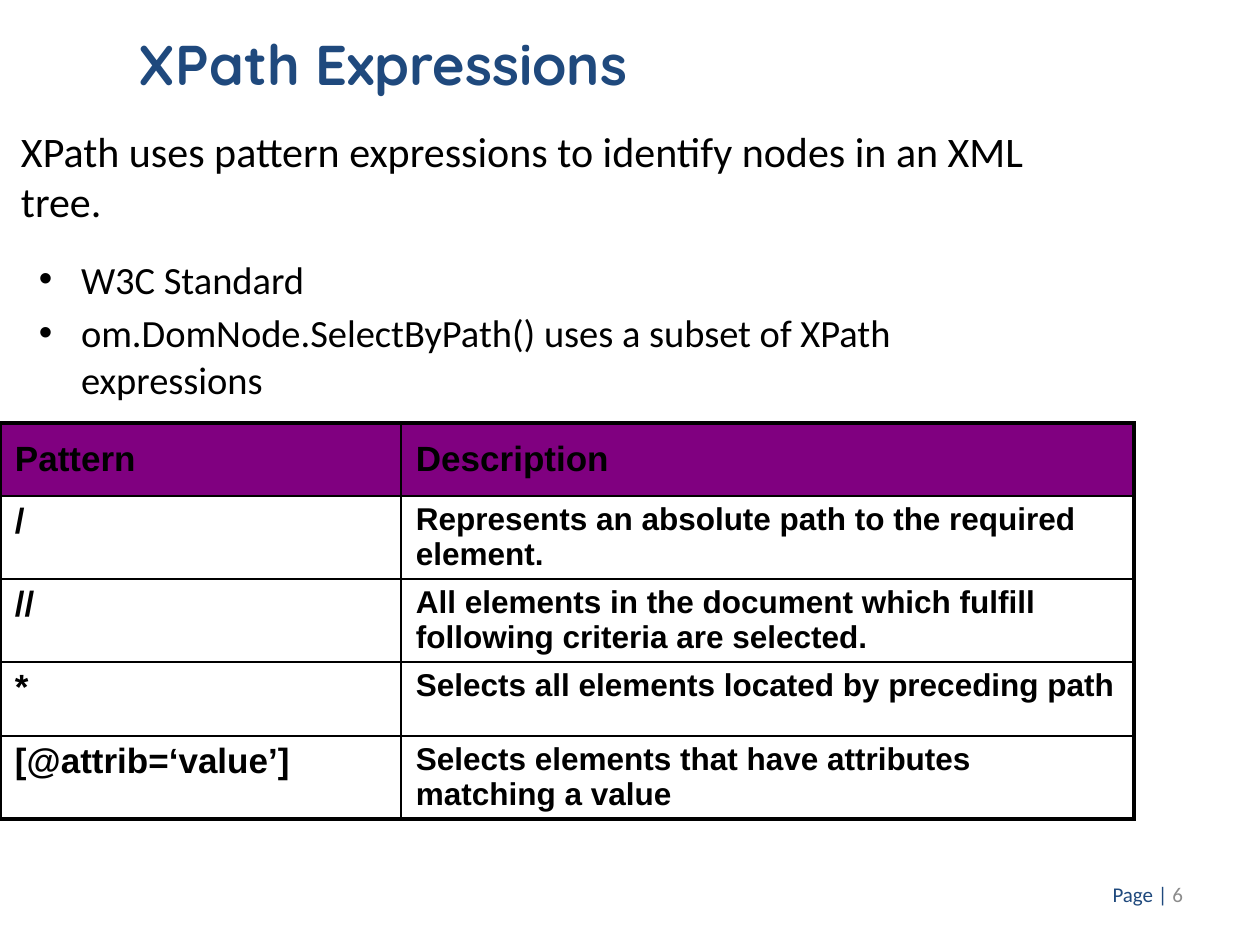
from lxml import etree
from pptx import Presentation
from pptx.dml.color import RGBColor
from pptx.enum.text import MSO_ANCHOR, MSO_AUTO_SIZE, PP_ALIGN
from pptx.oxml.ns import qn
from pptx.util import Emu, Pt

TOP, MIDDLE = MSO_ANCHOR.TOP, MSO_ANCHOR.MIDDLE
LEFT, RIGHT = PP_ALIGN.LEFT, PP_ALIGN.RIGHT
NO_FIT = MSO_AUTO_SIZE.NONE
NAVY, BLACK, GRAY, PURPLE = "1F497D", "000000", "8C8C8C", "800080"

STATEMENT = "XPath uses pattern expressions to identify nodes in an XML tree."
POINTS = [
    "W3C Standard",
    "om.DomNode.SelectByPath() uses a subset of XPath expressions",
]
PATTERNS = [
    ("Pattern", "Description"),
    ("/", "Represents an absolute path to the required element."),
    ("//", "All elements in the document which fulfill following criteria are selected."),
    ("*", "Selects all elements located by preceding path"),
    ("[@attrib=‘value’]", "Selects elements that have attributes matching a value"),
]
COLUMN_WIDTHS = [401, 733]
ROW_HEIGHTS = [73, 83, 83, 74, 83]


def px(length):
    return Emu(round(length * 914400 / 126))


def rgb(value):
    return RGBColor.from_string(value)


def style(run, font, size, color, bold=False):
    run.font.name = font
    run.font.size = Pt(size)
    run.font.bold = bold
    run.font.color.rgb = rgb(color)


def place(shape, box):
    shape.left, shape.top, shape.width, shape.height = map(px, box)


def set_frame(frame, anchor, inset_x, inset_y):
    frame.word_wrap = True
    frame.auto_size = NO_FIT
    frame.vertical_anchor = anchor
    frame.margin_left = frame.margin_right = px(inset_x)
    frame.margin_top = frame.margin_bottom = px(inset_y)


def set_bullet(paragraph, char, indent, hanging):
    properties = paragraph._p.get_or_add_pPr()
    properties.set("marL", str(px(indent)))
    properties.set("indent", str(-px(hanging)))
    if char:
        etree.SubElement(properties, qn("a:buFont"), typeface="Arial")
        etree.SubElement(properties, qn("a:buChar"), char=char)
    else:
        etree.SubElement(properties, qn("a:buNone"))


def set_borders(cell, widths):
    properties = cell._tc.get_or_add_tcPr()
    for side, width in zip("LRTB", widths):
        line = etree.SubElement(properties, qn(f"a:ln{side}"), w=str(Pt(width)))
        fill = etree.SubElement(line, qn("a:solidFill"))
        etree.SubElement(fill, qn("a:srgbClr"), val=BLACK)


def fill_title(title, box):
    place(title, box)
    set_frame(title.text_frame, TOP, 13, 6)
    title.text_frame.text = "XPath Expressions"
    heading = title.text_frame.paragraphs[0]
    heading.alignment = LEFT
    style(heading.runs[0], "Quicksand", 32, NAVY, True)


def fill_body(body, box):
    place(body, box)
    frame = body.text_frame
    set_frame(frame, TOP, 21, 10)
    frame.text = "\n".join([STATEMENT] + POINTS)
    statement, *points = frame.paragraphs
    set_bullet(statement, None, 0, 0)
    style(statement.runs[0], "Calibri", 24, BLACK)
    statement.space_before = Pt(0)
    for index, point in enumerate(points):
        point.space_before = Pt(4.4 if index else 17)
        set_bullet(point, "•", 60, 42)
        style(point.runs[0], "Calibri", 22, BLACK)


def add_patterns(slide, box):
    table = slide.shapes.add_table(len(PATTERNS), len(COLUMN_WIDTHS), *map(px, box)).table
    table.first_row = table.horz_banding = False
    for column, width in zip(table.columns, COLUMN_WIDTHS):
        column.width = px(width)
    for row, height in zip(table.rows, ROW_HEIGHTS):
        row.height = px(height)
    last_row, last_column = len(PATTERNS) - 1, len(COLUMN_WIDTHS) - 1
    for r, texts in enumerate(PATTERNS):
        for c, text in enumerate(texts):
            cell = table.cell(r, c)
            cell.text = text
            cell.margin_left = cell.margin_right = px(15)
            cell.margin_top = cell.margin_bottom = px(6)
            cell.vertical_anchor = TOP if r else MIDDLE
            size = 18 if r and c else 20
            style(cell.text_frame.paragraphs[0].runs[0], "Arial", size, BLACK, True)
            outer = (c == 0, c == last_column, r == 0, r == last_row)
            set_borders(cell, [2.25 if edge else 1 for edge in outer])
            if r:
                cell.fill.background()
            else:
                cell.fill.solid()
                cell.fill.fore_color.rgb = rgb(PURPLE)


def add_page_number(slide, box):
    frame = slide.shapes.add_textbox(*map(px, box)).text_frame
    set_frame(frame, MIDDLE, 13, 6)
    page = frame.paragraphs[0]
    page.alignment = RIGHT
    for text, color in (("Page | ", NAVY), ("6", GRAY)):
        run = page.add_run()
        run.text = text
        style(run, "Calibri", 12, color)


def main():
    deck = Presentation()
    deck.slide_width, deck.slide_height = px(1260), px(945)
    slide = deck.slides.add_slide(deck.slide_layouts[1])
    fill_title(slide.shapes.title, (126, 23, 1031, 113))
    fill_body(slide.placeholders[1], (0, 115, 1092, 305))
    add_patterns(slide, (0, 423, sum(COLUMN_WIDTHS), sum(ROW_HEIGHTS)))
    add_page_number(slide, (902, 869, 294, 50))
    deck.save("out.pptx")


if __name__ == "__main__":
    main()
